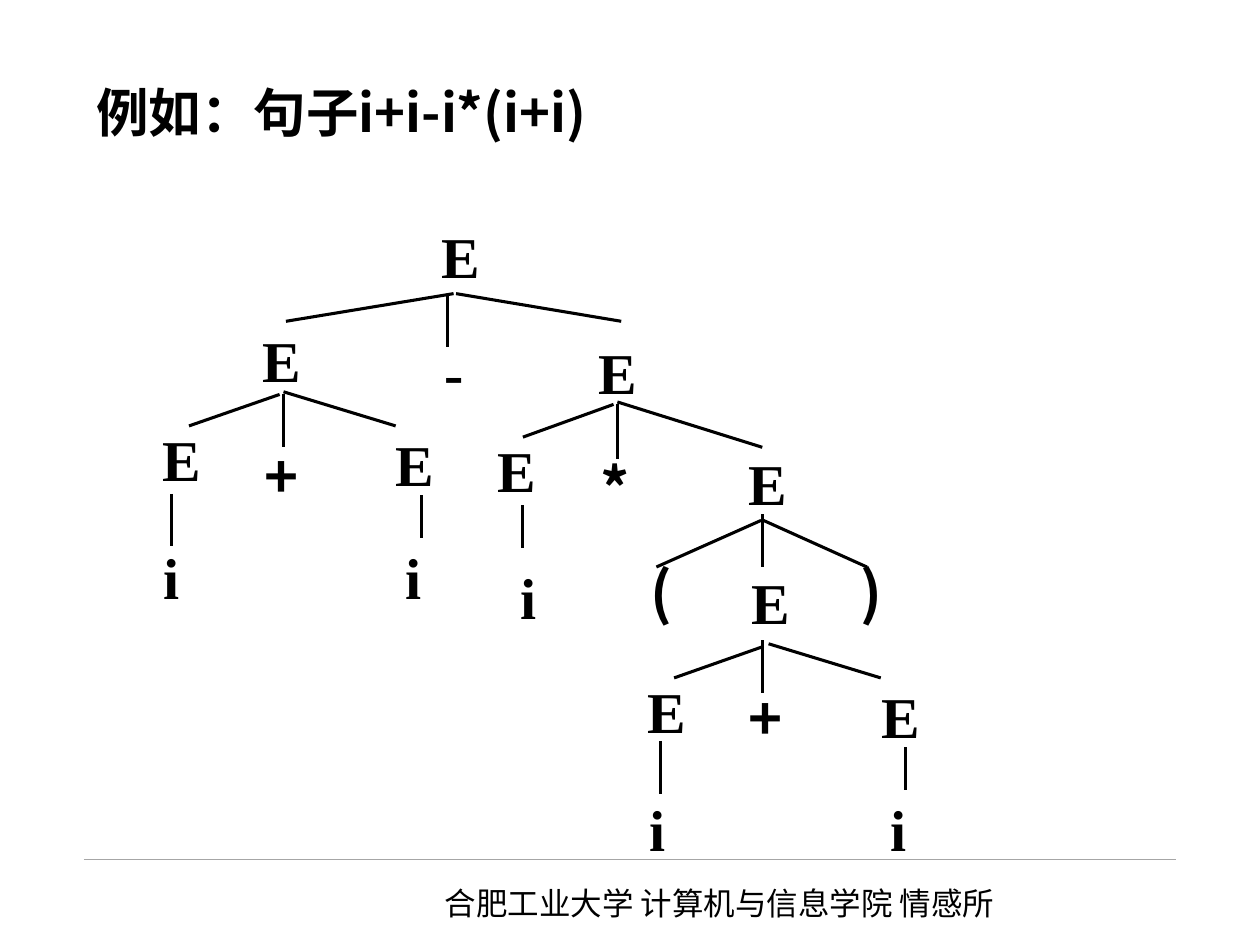
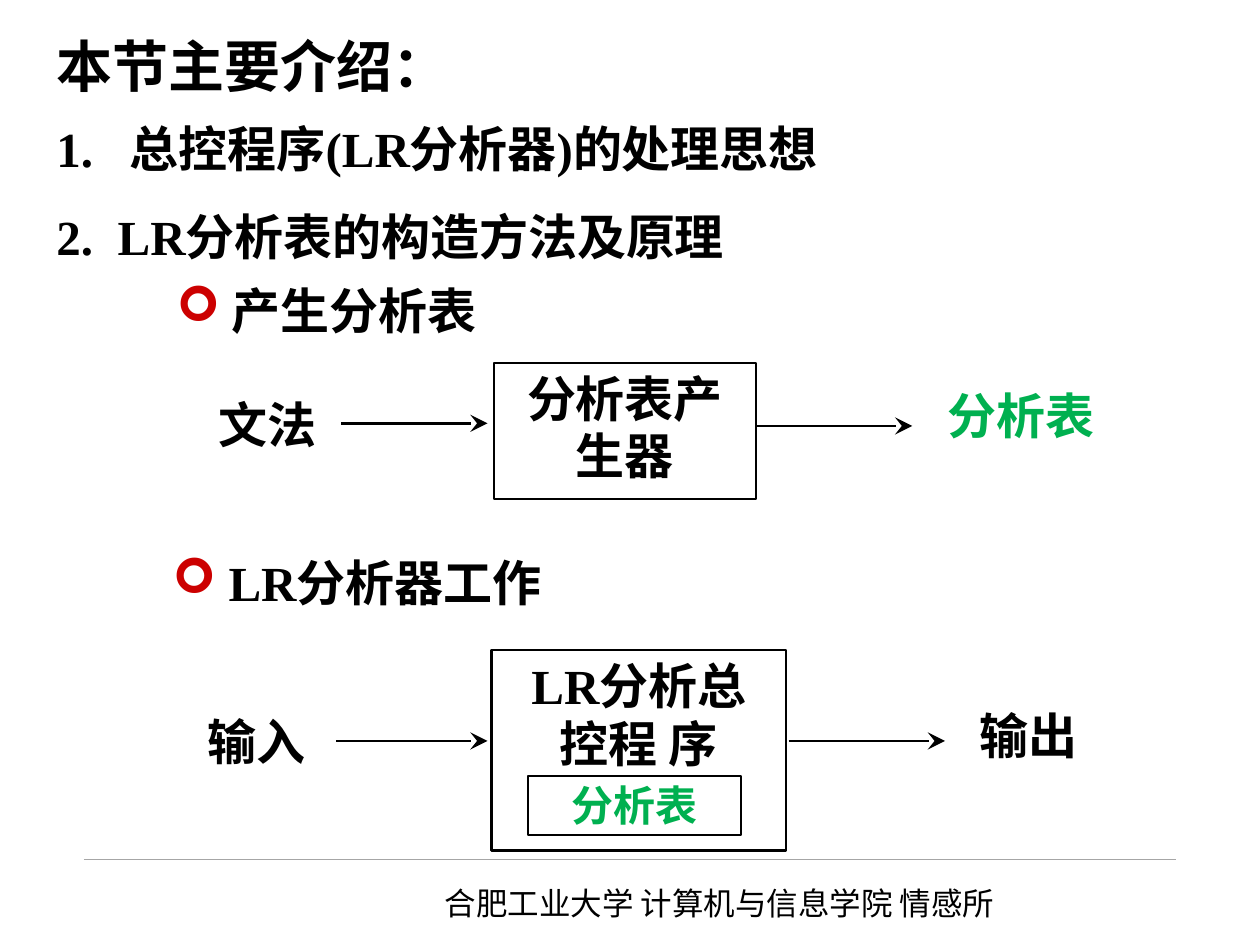
from typing import NamedTuple

from lxml import etree
from pptx import Presentation
from pptx.dml.color import RGBColor
from pptx.enum import shapes, text
from pptx.oxml import ns
from pptx.util import Pt

COLORS = {"ink": "000000", "bullet": "CC0000", "table": "00B050", "rule": "A6A6A6"}
SANS, SERIF = "Noto Sans CJK SC", "Times New Roman"
LEFT, CENTER = text.PP_ALIGN.LEFT, text.PP_ALIGN.CENTER
TOP, MIDDLE = text.MSO_ANCHOR.TOP, text.MSO_ANCHOR.MIDDLE
INSETS = (7.2, 3.6)


class Style(NamedTuple):
    size: float
    font: str = SERIF
    bold: bool = True
    color: str = "ink"
    align: text.PP_ALIGN = CENTER
    leading: float = 0


class Area(NamedTuple):
    left: float
    top: float
    width: float
    height: float


class Line(NamedTuple):
    x1: float
    y1: float
    x2: float
    y2: float


class Symbol(NamedTuple):
    sign: str
    width: float
    font: str
    places: list[tuple[float, float]]


class Topic(NamedTuple):
    number: str
    wording: str
    indent: float
    space: float


class Label(NamedTuple):
    wording: str
    area: Area
    color: str = "ink"
    bullet: bool = False


class Box(NamedTuple):
    wording: str
    area: Area
    style: Style
    anchor: text.MSO_ANCHOR = TOP


FOOTER = Style(18, SANS, False, align=LEFT)
TITLE = Style(30, SANS, align=LEFT)
HEADING = Style(32, align=LEFT, leading=37.5)
TOPIC = Style(28, align=LEFT, leading=33)
BODY = Style(28, leading=33)
INNER = Style(24, color="table", leading=28)

# Parse tree: each symbol with the left and top of every place it stands
SYMBOLS = [
    Symbol("E", 22.3, SERIF, [
        (252, 126), (149.8, 185.8), (342, 192.2), (92.9, 241.9), (226.1, 244.8),
        (284.4, 248.4), (427.7, 255.6), (429.1, 324), (370.1, 385.9), (503.3, 388.8)]),
    Symbol("i", 9.4, SERIF, [
        (93.6, 309.6), (231.8, 309.6), (297.4, 321.1), (370.8, 453.6), (509, 453.6)]),
    Symbol("+", 18.7, SANS, [(151.2, 252), (427.7, 390.2)]),
    Symbol("-", 10.8, SERIF, [(254.2, 192.2)]),
    Symbol("*", 18, SANS, [(342.7, 258.5)]),
    Symbol("(", 11.5, SANS, [(371.5, 318.2)]),
    Symbol(")", 11.5, SANS, [(491.8, 318.2)]),
]
BRANCHES = [
    Line(259.2, 167.8, 163.4, 183.6), Line(260.6, 167.8, 355, 183.6),
    Line(159.8, 225.4, 108, 243.4), Line(162, 223.9, 226.1, 243.4),
    Line(350.6, 231.1, 298.8, 249.8), Line(352.8, 229.7, 435.6, 255.6),
    Line(434.9, 297.4, 375.1, 324), Line(436.3, 297.4, 495.4, 324),
    Line(436.3, 369.4, 385.2, 387.4), Line(439.2, 367.9, 503.3, 387.4),
]
# Vertical stems: x, top, bottom
STEMS = [
    (255.6, 167.8, 198), (162, 225.4, 255.6), (352.8, 231.1, 262.1),
    (435.6, 293.8, 324), (435.6, 365.8, 396), (97.9, 282.2, 311.8),
    (240.8, 283, 307.4), (298.8, 288.7, 313.2), (377.3, 423.4, 453.6),
    (517.7, 427, 451.4),
]

# Section overview
TOPICS = [
    Topic("1.", "总控程序(LR分析器)的处理思想", 42, 12),
    Topic("2.", "LR分析表的构造方法及原理", 35, 17.5),
]
BOXES = [
    Box("分析表产\n生器", Area(282.2, 207.4, 149.8, 77.8), BODY),
    Box("LR分析总\n控程 序", Area(280.8, 371.5, 168.5, 114.5), BODY),
    Box("分析表", Area(301.7, 443.5, 121.7, 33.8), INNER, MIDDLE),
]
LABELS = [
    Label(" 产生分析表", Area(76.5, 153.4, 220, 48.2), bullet=True),
    Label("文法", Area(105.1, 218.2, 95.8, 48.2)),
    Label("分析表", Area(528.5, 213.1, 109.4, 48.2), "table"),
    Label(" LR分析器工作", Area(79, 308.9, 250, 48.2), bullet=True),
    Label("输入", Area(93.6, 399.6, 105.8, 48.2)),
    Label("输出", Area(540, 399.6, 95.8, 41.8)),
]
ARROWS = [
    Line(195.1, 241.9, 278.6, 241.9), Line(432, 243.4, 521.3, 243.4),
    Line(192.2, 423.4, 278.6, 423.4), Line(450.7, 423.4, 540, 423.4),
]


def rgb(name: str) -> RGBColor:
    return RGBColor.from_string(COLORS[name])


def write(paragraph, wording: str, style: Style) -> None:
    """Add the wording as runs, with a line break at each newline."""
    paragraph.alignment = style.align
    if style.leading:
        paragraph.line_spacing = Pt(style.leading)
    for number, part in enumerate(wording.split("\n")):
        if number:
            paragraph.add_line_break()
        run = paragraph.add_run()
        run.text = part
        font = run.font
        font.size, font.bold, font.name = Pt(style.size), style.bold, style.font
        font.color.rgb = rgb(style.color)
        # Chinese characters are always sans
        east = etree.SubElement(run._r.get_or_add_rPr(), ns.qn("a:ea"))
        east.set("typeface", SANS)


def set_frame(frame, wrap: bool, anchor: text.MSO_ANCHOR, insets: tuple) -> None:
    frame.word_wrap, frame.vertical_anchor = wrap, anchor
    frame.margin_left = frame.margin_right = Pt(insets[0])
    frame.margin_top = frame.margin_bottom = Pt(insets[1])


def add_text(slide, wording: str, area: Area, style: Style, wrap: bool = True,
             anchor: text.MSO_ANCHOR = TOP, insets: tuple = INSETS):
    frame = slide.shapes.add_textbox(*map(Pt, area)).text_frame
    set_frame(frame, wrap, anchor, insets)
    write(frame.paragraphs[0], wording, style)
    return frame


def add_line(slide, line: Line, width: float, color: str = "ink",
             arrow: bool = False) -> None:
    connector = slide.shapes.add_connector(
        shapes.MSO_CONNECTOR.STRAIGHT, *map(Pt, line))
    connector.line.width = Pt(width)
    connector.line.color.rgb = rgb(color)
    if arrow:
        tail = etree.SubElement(connector.line._get_or_add_ln(), ns.qn("a:tailEnd"))
        for key, value in (("type", "stealth"), ("w", "lg"), ("len", "lg")):
            tail.set(key, value)
    etree.SubElement(connector._element.spPr, ns.qn("a:effectLst"))


def add_box(slide, box: Box) -> None:
    rect = slide.shapes.add_shape(shapes.MSO_SHAPE.RECTANGLE, *map(Pt, box.area))
    rect.shadow.inherit = False
    rect.fill.background()
    rect.line.color.rgb = rgb("ink")
    rect.line.width = Pt(1.5)
    set_frame(rect.text_frame, True, box.anchor, INSETS)
    write(rect.text_frame.paragraphs[0], box.wording, box.style)


def add_bullet(paragraph) -> None:
    props = paragraph._p.get_or_add_pPr()
    color = etree.SubElement(props, ns.qn("a:buClr"))
    etree.SubElement(color, ns.qn("a:srgbClr")).set("val", COLORS["bullet"])
    etree.SubElement(props, ns.qn("a:buFont")).set("typeface", "Wingdings")
    etree.SubElement(props, ns.qn("a:buChar")).set("char", "➢")


def add_label(slide, label: Label) -> None:
    frame = add_text(slide, label.wording, label.area,
                     BODY._replace(color=label.color), False, MIDDLE)
    if label.bullet:
        add_bullet(frame.paragraphs[0])


def add_topic(frame, topic: Topic) -> None:
    paragraph = frame.add_paragraph()
    paragraph.space_before = Pt(topic.space)
    props = paragraph._p.get_or_add_pPr()
    props.set("marL", str(Pt(topic.indent)))
    props.set("indent", str(-Pt(topic.indent)))
    write(paragraph, f"{topic.number}\t{topic.wording}", TOPIC)


def new_slide(deck):
    """Blank slide with the shared footer."""
    slide = deck.slides.add_slide(deck.slide_layouts[6])
    add_line(slide, Line(48, 491, 672, 491), 0.25, "rule")
    add_text(slide, "合肥工业大学 计算机与信息学院 情感所",
             Area(247, 501.8, 345.6, 28.8), FOOTER)
    return slide


def build_parse_tree(deck) -> None:
    slide = new_slide(deck)
    add_text(slide, "例如：句子i+i-i*(i+i)", Area(48, 42.5, 612, 59.8), TITLE)
    for symbol in SYMBOLS:
        for left, top in symbol.places:
            add_text(slide, symbol.sign, Area(left, top, symbol.width, 39.6),
                     Style(33, symbol.font), False, insets=(0, 0))
    for branch in BRANCHES + [Line(x, top, x, bottom) for x, top, bottom in STEMS]:
        add_line(slide, branch, 1.75)


def build_overview(deck) -> None:
    slide = new_slide(deck)
    for box in BOXES:
        add_box(slide, box)
    for arrow in ARROWS:
        add_line(slide, arrow, 1.5, arrow=True)
    for label in LABELS:
        add_label(slide, label)
    frame = add_text(slide, "本节主要介绍：", Area(25.2, 15.1, 648, 128.9), HEADING)
    for topic in TOPICS:
        add_topic(frame, topic)


def main() -> None:
    deck = Presentation()
    deck.slide_width, deck.slide_height = Pt(720), Pt(540)
    build_parse_tree(deck)
    build_overview(deck)
    deck.save("out.pptx")


if __name__ == "__main__":
    main()
